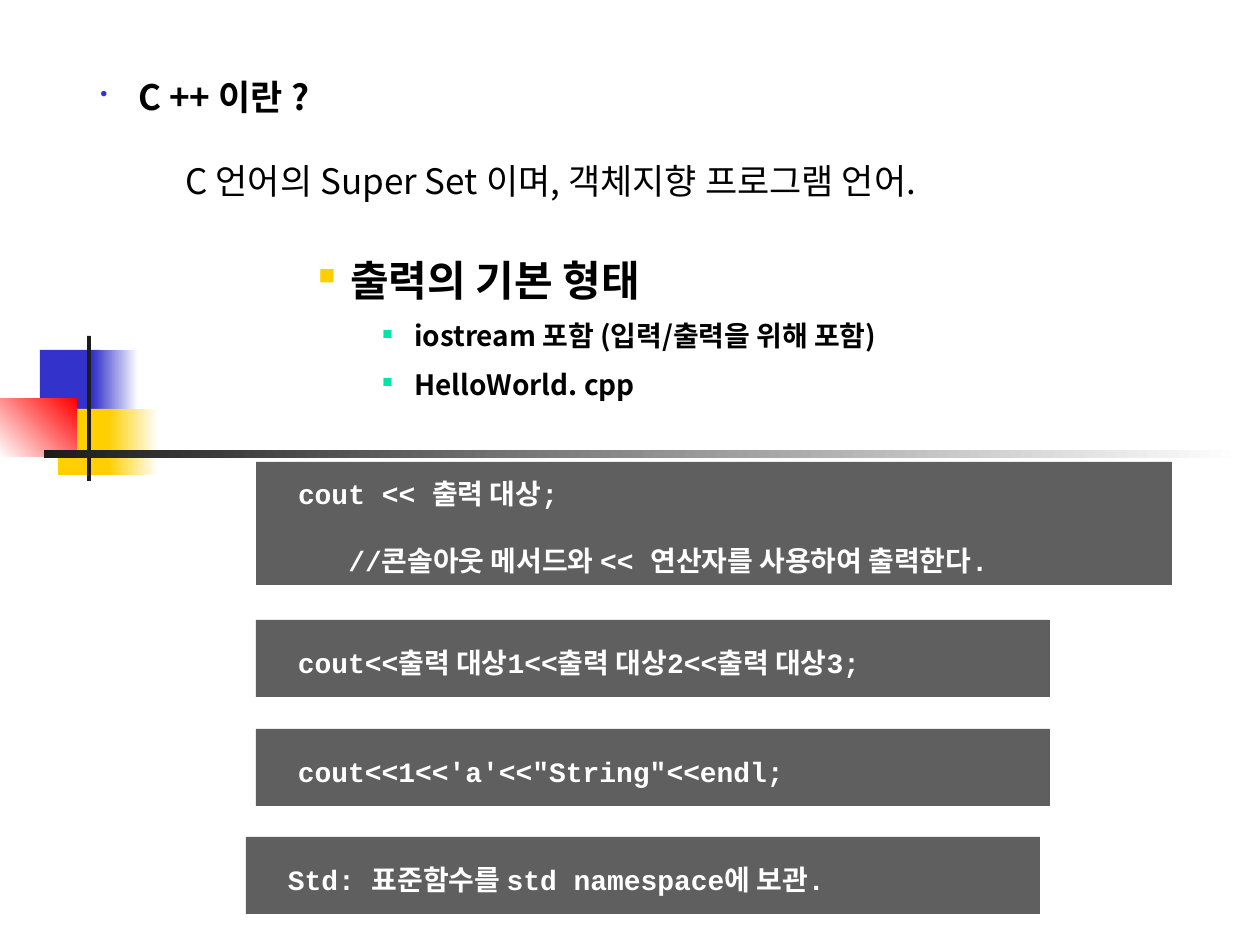
from lxml.etree import SubElement
from pptx import Presentation
from pptx.dml.color import RGBColor
from pptx.enum.shapes import MSO_SHAPE
from pptx.enum.text import MSO_ANCHOR, PP_ALIGN
from pptx.oxml.ns import qn
from pptx.util import Emu, Pt

EMU_PER_PX = 914400 / 126
KOREAN = "Noto Sans CJK KR"
CODE = "Courier New"
COLORS = {
    "blue": "3333CC", "yellow": "FFCF01", "red": "FF0000", "green": "00E4A8",
    "ink": "1C1C1C", "panel": "5F5F5F", "black": "000000", "white": "FFFFFF",
}


def px(length):
    return Emu(round(length * EMU_PER_PX))


def rgb(name):
    return RGBColor.from_string(COLORS[name])


def assign(target, values):
    for name, value in values.items():
        setattr(target, name, value)


class SlideBuilder:
    """Holds the style and the current slide."""

    def __init__(self, slide):
        self.slide = slide

    def block(self, box, color, fade_to=None, angle=0):
        shape = self.slide.shapes.add_shape(MSO_SHAPE.RECTANGLE, *map(px, box))
        shape.shadow.inherit = False
        shape.line.fill.background()
        if fade_to is None:
            shape.fill.solid()
            shape.fill.fore_color.rgb = rgb(color)
        else:
            shape.fill.gradient()
            shape.fill.gradient_angle = angle
            for stop, name in zip(shape.fill.gradient_stops, (color, fade_to)):
                stop.color.rgb = rgb(name)
        return shape

    def bullet(self, paragraph, char, color, percent, left, hanging):
        props = paragraph._p.get_or_add_pPr()
        props.set("marL", str(px(left)))
        props.set("indent", str(-px(hanging)))
        if char is None:
            SubElement(props, qn("a:buNone"))
            return
        tint = SubElement(props, qn("a:buClr"))
        SubElement(tint, qn("a:srgbClr"), val=COLORS[color])
        SubElement(props, qn("a:buSzPct"), val=str(percent * 1000))
        SubElement(props, qn("a:buChar"), char=char)

    def add_line(self, paragraph, text, size, color, font=KOREAN, bold=True, **layout):
        assign(paragraph, {"alignment": PP_ALIGN.LEFT, **layout})
        run = paragraph.add_run()
        run.text = text
        assign(run.font, {"size": Pt(size), "bold": bold, "name": font})
        run.font.color.rgb = rgb(color)
        SubElement(run._r.get_or_add_rPr(), qn("a:ea"), typeface=KOREAN)

    def outline(self, box, items):
        frame = self.slide.shapes.add_textbox(*map(px, box)).text_frame
        frame.word_wrap = True
        for index, (text, marker, size, bold, pitch, before) in enumerate(items):
            paragraph = frame.add_paragraph() if index else frame.paragraphs[0]
            self.bullet(paragraph, *marker)
            self.add_line(paragraph, text, size, "black", bold=bold,
                          line_spacing=Pt(pitch), space_before=Pt(before))

    def code_panel(self, box, lines):
        frame = self.block(box, "panel").text_frame
        assign(frame, {
            "word_wrap": True, "vertical_anchor": MSO_ANCHOR.MIDDLE,
            "margin_left": px(42), "margin_top": px(16),
            "margin_right": px(13), "margin_bottom": px(26),
        })
        for index, line in enumerate(lines):
            paragraph = frame.add_paragraph() if index else frame.paragraphs[0]
            self.add_line(paragraph, line, 16, "white", CODE, line_spacing=1.5,
                          space_before=Pt(10 if index else 0))


def main():
    deck = Presentation()
    deck.slide_width, deck.slide_height = px(1260), px(945)
    builder = SlideBuilder(deck.slides.add_slide(deck.slide_layouts[6]))

    # Corner ornament and divider
    builder.block((40, 350, 60, 66), "blue")
    builder.block((93, 350, 45, 66), "blue", "white")
    builder.block((58, 409, 58, 66), "yellow")
    builder.block((108, 409, 50, 66), "yellow", "white")
    builder.block((0, 399, 77, 58), "white", "red", 45)
    builder.block((87, 336, 4, 145), "ink")
    builder.block((44, 450, 1198, 8), "ink", "white")

    # Definition of the language
    builder.outline((88, 69, 1113, 158), [
        ("C ++ 이란 ?", ("•", "blue", 60, 38, 38), 20, True, 24, 0),
        ("C 언어의 Super Set 이며, 객체지향 프로그램 언어.",
         (None, None, 0, 85, 0), 20, False, 24, 24),
    ])

    # Output topics
    detail = ("■", "green", 50, 284, 32)
    builder.outline((118, 237, 883, 168), [
        ("출력의 기본 형태", ("■", "yellow", 55, 220, 32), 24, True, 35, 0),
        ("iostream 포함 (입력/출력을 위해 포함)", detail, 16, True, 23.5, 4),
        ("HelloWorld. cpp", detail, 16, True, 23.5, 4),
    ])

    # Code panels
    builder.code_panel((256, 462, 916, 123), [
        "cout << 출력 대상;",
        "   //콘솔아웃 메서드와 << 연산자를 사용하여 출력한다.",
    ])
    for left, top, line in (
        (256, 620, "cout<<출력 대상1<<출력 대상2<<출력 대상3;"),
        (256, 729, "cout<<1<<'a'<<\"String\"<<endl;"),
        (246, 837, "Std: 표준함수를 std namespace에 보관."),
    ):
        builder.code_panel((left, top, 794, 77), [line])

    deck.save("out.pptx")


if __name__ == "__main__":
    main()
